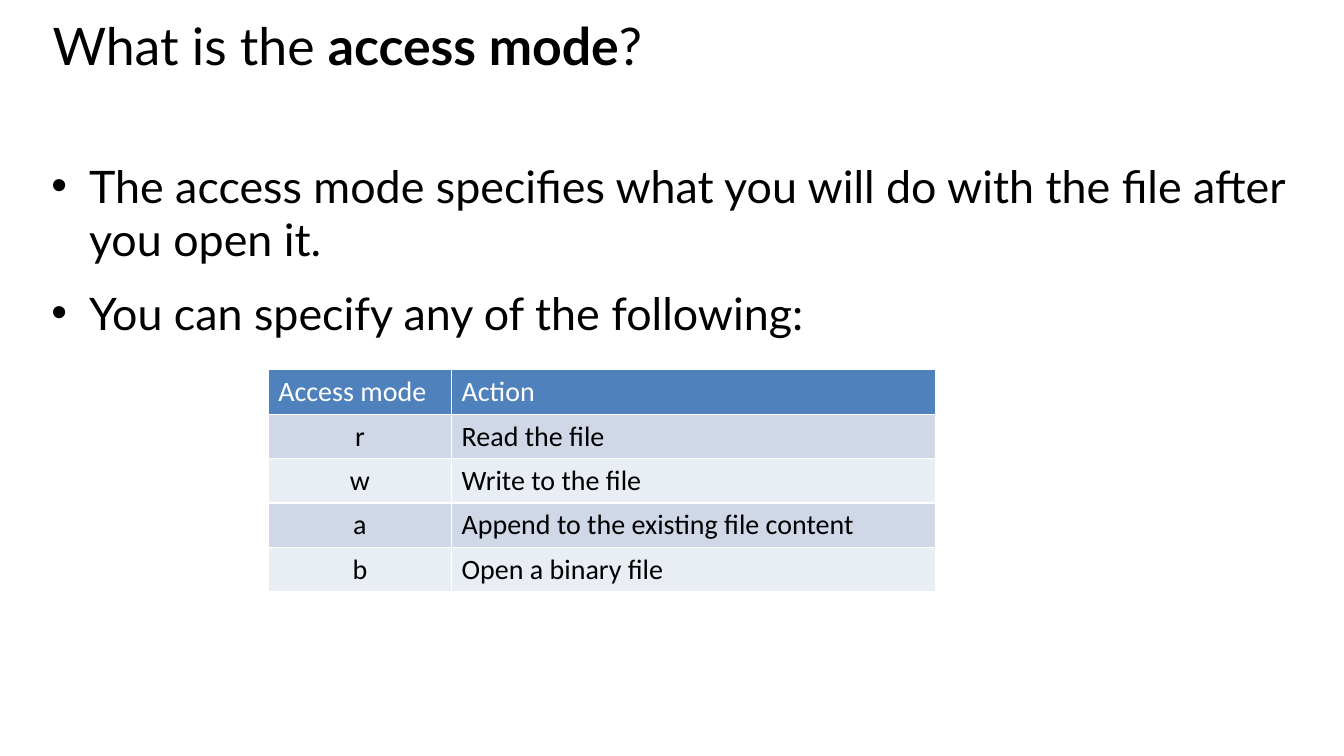
import pptx
import pptx.util
import pptx.dml.color
import pptx.enum.text
import pptx.oxml.ns
import lxml.etree

Cm, Pt = pptx.util.Cm, pptx.util.Pt
RGBColor = pptx.dml.color.RGBColor
ALIGN = pptx.enum.text.PP_ALIGN
qn = pptx.oxml.ns.qn

BLACK = RGBColor(0x00, 0x00, 0x00)
WHITE = RGBColor(0xFF, 0xFF, 0xFF)
HEADER_BLUE = RGBColor(0x4F, 0x81, 0xBD)
BANDS = (RGBColor(0xE9, 0xED, 0xF4), RGBColor(0xD0, 0xD8, 0xE8))

QUESTION = [("What is the ", False), ("access mode", True), ("?", False)]
POINTS = [
    "The access mode specifies what you will do with the file after you open it.",
    "You can specify any of the following:",
]
MODES = [
    ("Access mode", "Action"),
    ("r", "Read the file"),
    ("w", "Write to the file"),
    ("a", "Append to the existing file content"),
    ("b", "Open a binary file"),
]
COLUMN_WIDTHS = (Cm(4.62), Cm(12.2))
ROW_HEIGHT = Cm(1.04)

QUESTION_BOX = dict(left=Cm(1.07), top=Cm(0.51), width=Cm(32), height=Cm(2.95))
POINTS_BOX = dict(left=Cm(1.04), top=Cm(3.86), width=Cm(32), height=Cm(14.71))
FRAME = dict(
    word_wrap=True,
    auto_size=pptx.enum.text.MSO_AUTO_SIZE.NONE,
    vertical_anchor=pptx.enum.text.MSO_ANCHOR.TOP,
)
QUESTION_FONT = dict(name="Lato", size=Pt(37))
POINT_FONT = dict(name="Lato", size=Pt(32), bold=False)
MODE_FONT = dict(name="Calibri", size=Pt(20), bold=False)


def apply(target, values):
    for key, value in values.items():
        setattr(target, key, value)


def style_font(font, values, color):
    apply(font, values)
    font.color.rgb = color


def add_border(cell, side, width):
    properties = cell._tc.get_or_add_tcPr()
    line = lxml.etree.SubElement(properties, qn("a:ln" + side), w=str(width))
    fill = lxml.etree.SubElement(line, qn("a:solidFill"))
    lxml.etree.SubElement(fill, qn("a:srgbClr"), val=str(WHITE))


deck = pptx.Presentation()
apply(deck, dict(slide_width=Cm(33.87), slide_height=Cm(19.05)))
slide = deck.slides.add_slide(deck.slide_layouts[1])

question, points = slide.placeholders
for holder, box in ((question, QUESTION_BOX), (points, POINTS_BOX)):
    apply(holder, box)
    apply(holder.text_frame, FRAME)

heading = question.text_frame.paragraphs[0]
apply(heading, dict(alignment=ALIGN.LEFT, line_spacing=0.8))
for words, bold in QUESTION:
    run = heading.add_run()
    run.text = words
    style_font(run.font, dict(QUESTION_FONT, bold=bold), BLACK)

points.text_frame.text = "\n".join(POINTS)
for point in points.text_frame.paragraphs:
    point.space_before = Pt(14)
    style_font(point.runs[0].font, POINT_FONT, BLACK)
    indents = point._p.get_or_add_pPr()
    indents.set("marL", str(Cm(0.95)))
    indents.set("indent", str(-Cm(0.95)))
    lxml.etree.SubElement(indents, qn("a:buChar"), char="•")

modes = slide.shapes.add_table(
    len(MODES), len(COLUMN_WIDTHS), Cm(6.76), Cm(9.32),
    sum(COLUMN_WIDTHS), ROW_HEIGHT * len(MODES),
).table
for column, width in zip(modes.columns, COLUMN_WIDTHS):
    column.width = width

for row, entries in enumerate(MODES):
    modes.rows[row].height = ROW_HEIGHT
    for column, words in enumerate(entries):
        cell = modes.cell(row, column)
        for side in "LRTB":
            add_border(cell, side, Pt(1))
        cell.fill.solid()
        cell.fill.fore_color.rgb = BANDS[row % 2] if row else HEADER_BLUE
        cell.text = words
        entry = cell.text_frame.paragraphs[0]
        entry.alignment = ALIGN.CENTER if row and column == 0 else ALIGN.LEFT
        style_font(entry.runs[0].font, MODE_FONT, BLACK if row else WHITE)

deck.save("out.pptx")
